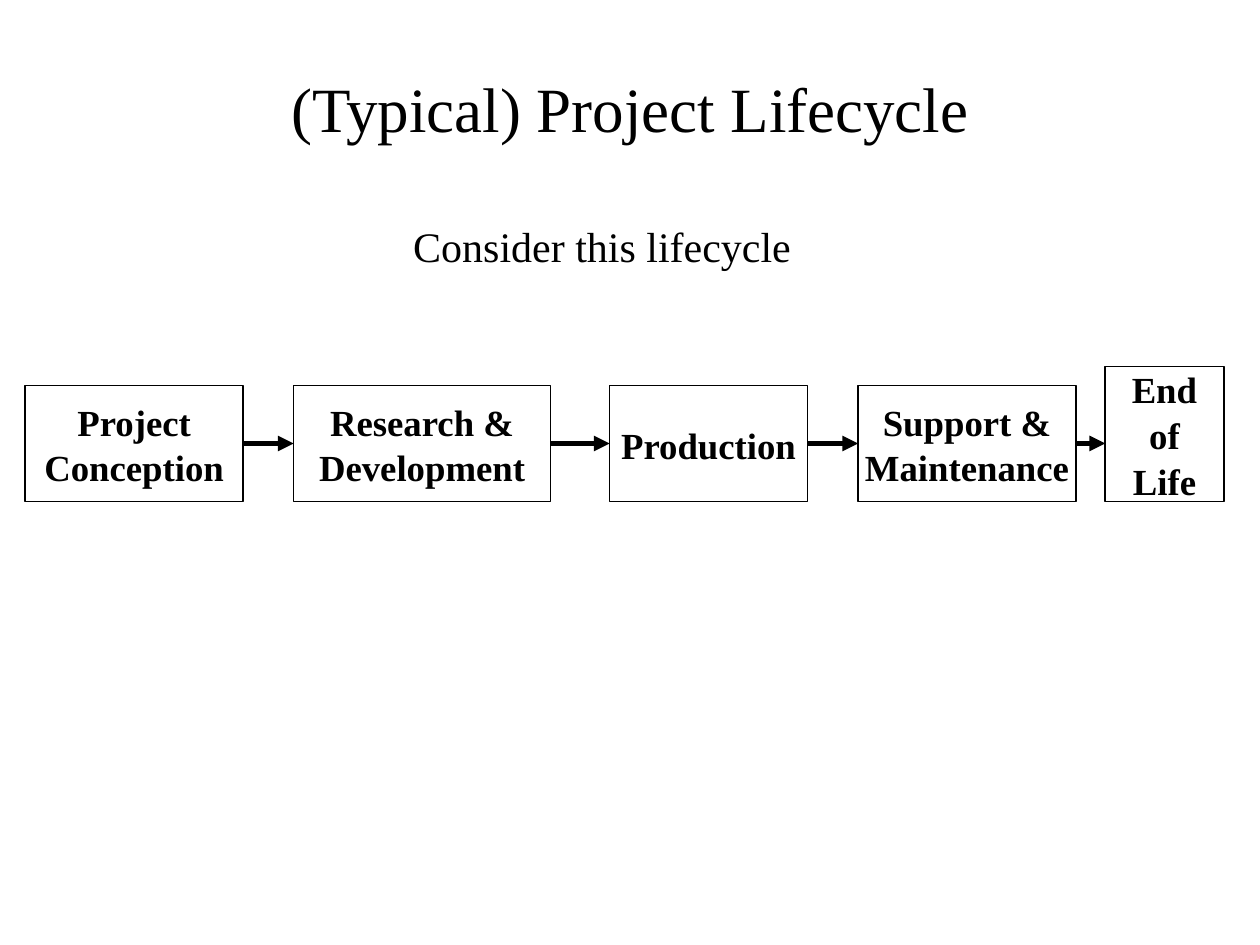
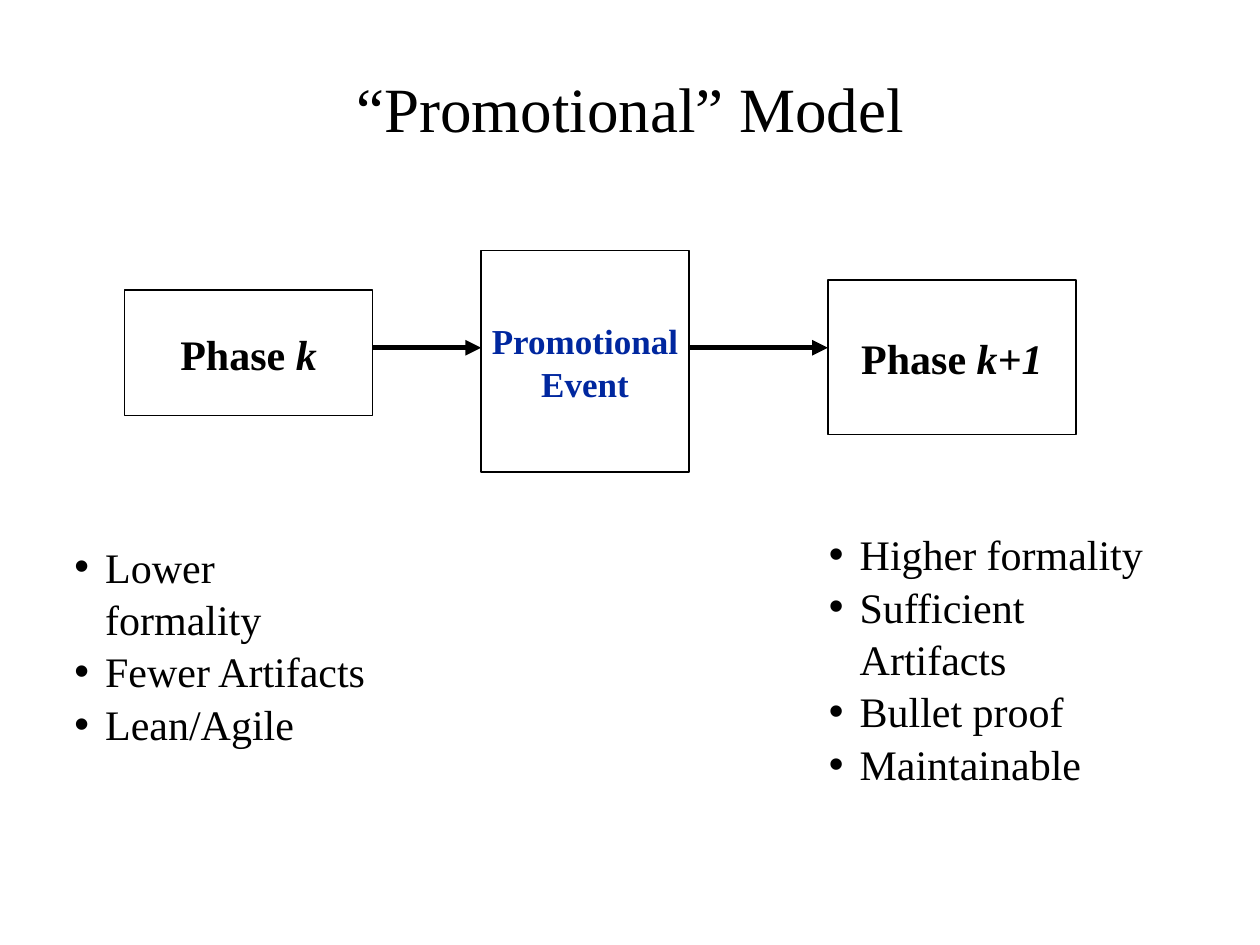
from lxml import etree
from pptx import Presentation
from pptx import util as u
from pptx.dml.color import RGBColor
from pptx.enum import shapes, text
from pptx.oxml.ns import qn

BLACK = "000000"
BLUE = "00279F"
TITLE_ONLY, TWO_CONTENT = 5, 3


def color(hex_code):
    """Turn a hex string into a colour."""
    return RGBColor.from_string(hex_code)


class Sketch:
    """Holds the shared style and the slide being drawn."""

    font_name = "Times New Roman"
    line_spacing = 1.04
    indent = 0.62
    inset = (0.23, 0.13)

    def __init__(self, deck):
        """Start with a deck and no slide."""
        self.deck = deck
        self.page = None

    def new_page(self, layout, title):
        """Add a slide with its title."""
        self.page = self.deck.slides.add_slide(self.deck.slide_layouts[layout])
        heading = self.page.shapes.title
        self.place(heading, 1.91, 0.64, 21.59, 2.97)
        self.fill_text(heading.text_frame, [title], 36, text.PP_ALIGN.CENTER)
        heading.text_frame.vertical_anchor = text.MSO_ANCHOR.MIDDLE

    def place(self, shape, left, top, width, height):
        """Move and size a placeholder."""
        shape.left, shape.top = u.Cm(left), u.Cm(top)
        shape.width, shape.height = u.Cm(width), u.Cm(height)

    def fill_text(self, frame, lines, size, align, bold=False, ink=BLACK, wrap=True):
        """Fill a frame; a tuple is a plain part followed by an italic part."""
        frame.auto_size = text.MSO_AUTO_SIZE.NONE
        frame.word_wrap = wrap
        frame.margin_left = frame.margin_right = u.Cm(self.inset[0])
        frame.margin_top = frame.margin_bottom = u.Cm(self.inset[1])
        for number, line in enumerate(lines):
            para = frame.add_paragraph() if number else frame.paragraphs[0]
            plain, italic = line if isinstance(line, tuple) else (line, "")
            para.add_run().text = plain
            if italic:
                span = para.add_run()
                span.text = italic
                span.font.italic = True
            para.alignment = align
            para.line_spacing = self.line_spacing
            para.space_before = u.Pt(0)
            para.font.name = self.font_name
            para.font.size = u.Pt(size)
            para.font.bold = bold
            para.font.color.rgb = color(ink)

    def caption(self, words, left, top, width, height):
        """Add a free line of text."""
        box = self.page.shapes.add_textbox(*map(u.Cm, (left, top, width, height)))
        self.fill_text(box.text_frame, [words], 24, text.PP_ALIGN.LEFT, wrap=False)

    def box(self, lines, left, top, width, height, size, ink=BLACK):
        """Add an outlined rectangle with bold centred text."""
        box = self.page.shapes.add_shape(
            shapes.MSO_SHAPE.RECTANGLE, *map(u.Cm, (left, top, width, height)))
        box.shadow.inherit = False
        box.fill.background()
        box.line.color.rgb = color(BLACK)
        box.line.width = u.Pt(1)
        self.fill_text(box.text_frame, lines, size, text.PP_ALIGN.CENTER, True, ink, False)
        box.text_frame.vertical_anchor = text.MSO_ANCHOR.MIDDLE
        return box

    def arrow(self, source, target, height):
        """Draw a level arrow between two boxes, joined where it meets a side's middle."""
        level = u.Cm(height)
        line = self.page.shapes.add_connector(
            shapes.MSO_CONNECTOR.STRAIGHT,
            source.left + source.width, level, target.left, level)
        for box, join, side in ((source, line.begin_connect, 3),
                                (target, line.end_connect, 1)):
            if abs(box.top + box.height // 2 - level) < u.Cm(0.05):
                join(box, side)
        line.line.color.rgb = color(BLACK)
        line.line.width = u.Pt(3)
        properties = line._element.spPr
        etree.SubElement(properties.find(qn("a:ln")), qn("a:tailEnd"), type="triangle")
        etree.SubElement(properties, qn("a:effectLst"))

    def chain(self, boxes, height):
        """Link neighbouring boxes with arrows."""
        for source, target in zip(boxes, boxes[1:]):
            self.arrow(source, target, height)

    def bullets(self, slot, items, left, top, width, height):
        """Fill a body placeholder with a bulleted list."""
        body = self.page.placeholders[slot]
        self.place(body, left, top, width, height)
        self.fill_text(body.text_frame, items, 24, text.PP_ALIGN.LEFT)
        for para in body.text_frame.paragraphs:
            properties = para._p.get_or_add_pPr()
            properties.set("marL", str(u.Cm(self.indent)))
            properties.set("indent", str(-u.Cm(self.indent)))


def lifecycle(sketch):
    """Draw the project lifecycle."""
    sketch.new_page(TITLE_ONLY, "(Typical) Project Lifecycle")
    bottom, usual, tall = 10.11, 2.34, 2.72
    stages = [
        (["Project", "Conception"], 0.51, 4.39, usual),
        (["Research &", "Development"], 5.92, 5.18, usual),
        (["Production"], 12.29, 3.99, usual),
        (["Support &", "Maintenance"], 17.3, 4.39, usual),
        (["End", "of", "Life"], 22.28, 2.39, tall),
    ]
    boxes = [sketch.box(lines, left, bottom - height, width, height, 21)
             for lines, left, width, height in stages]
    sketch.chain(boxes, 8.94)
    sketch.caption("Consider this lifecycle", 8.1, 4.27, 8.1, 1.24)


def promotion(sketch):
    """Draw the promotional model."""
    sketch.new_page(TWO_CONTENT, "“Promotional” Model")
    before = sketch.box([("Phase ", "k")], 2.51, 5.84, 5, 2.54, 24)
    event = sketch.box(["Promotional", "Event"], 9.7, 5.05, 4.19, 4.47, 20, BLUE)
    after = sketch.box([("Phase ", "k+1")], 16.69, 5.64, 5, 3.12, 24)
    sketch.chain([before, event, after], 7.01)
    sketch.bullets(1, ["Lower formality", "Fewer Artifacts", "Lean/Agile"],
                   1.27, 10.74, 6.35, 3.28)
    sketch.bullets(2, ["Higher formality", "Sufficient Artifacts", "Bullet proof",
                       "Maintainable"], 16.48, 10.49, 7.29, 4.29)


def main():
    """Build and save the deck."""
    deck = Presentation()
    deck.slide_width, deck.slide_height = u.Cm(25.4), u.Cm(19.05)
    sketch = Sketch(deck)
    lifecycle(sketch)
    promotion(sketch)
    deck.save("out.pptx")


if __name__ == "__main__":
    main()
